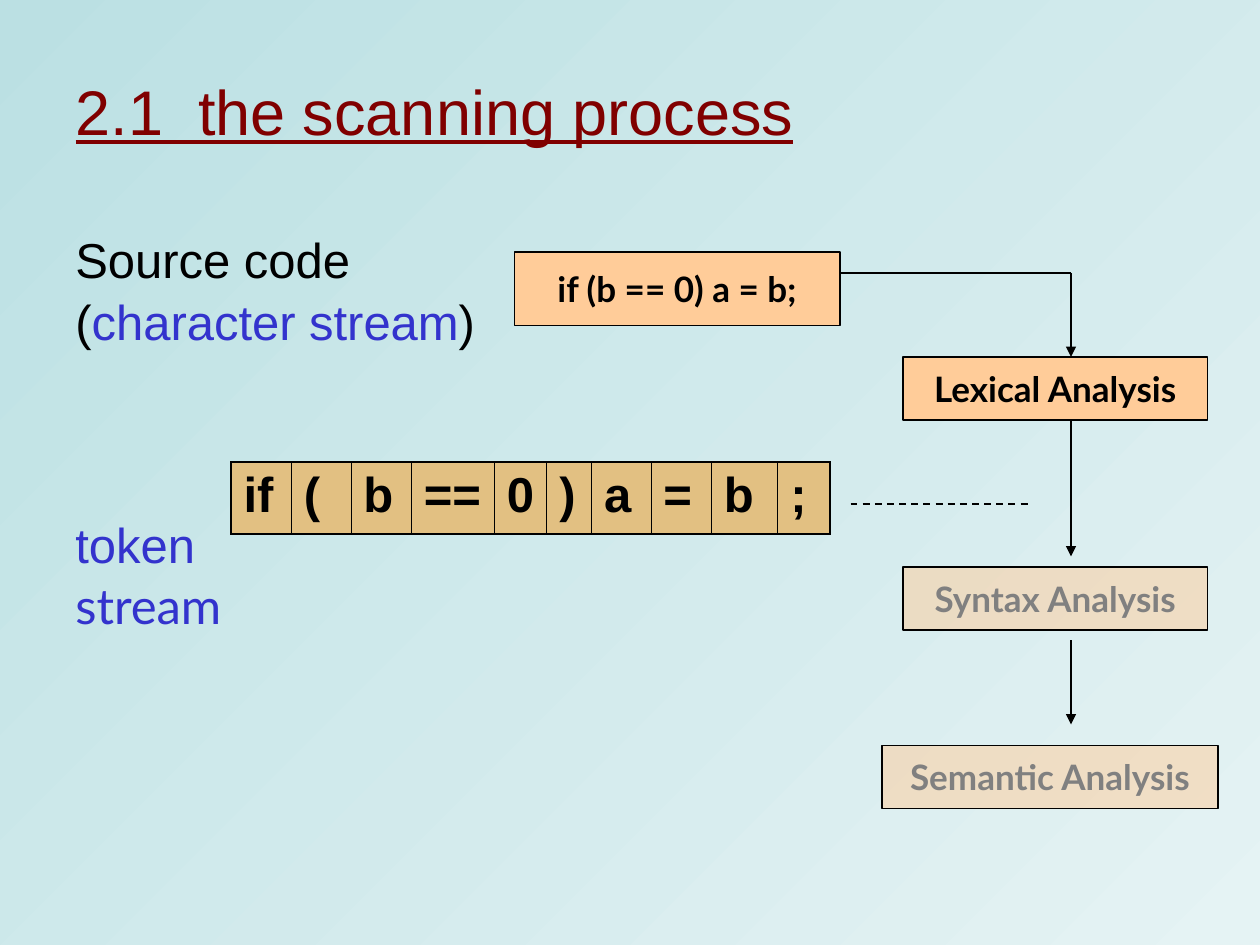
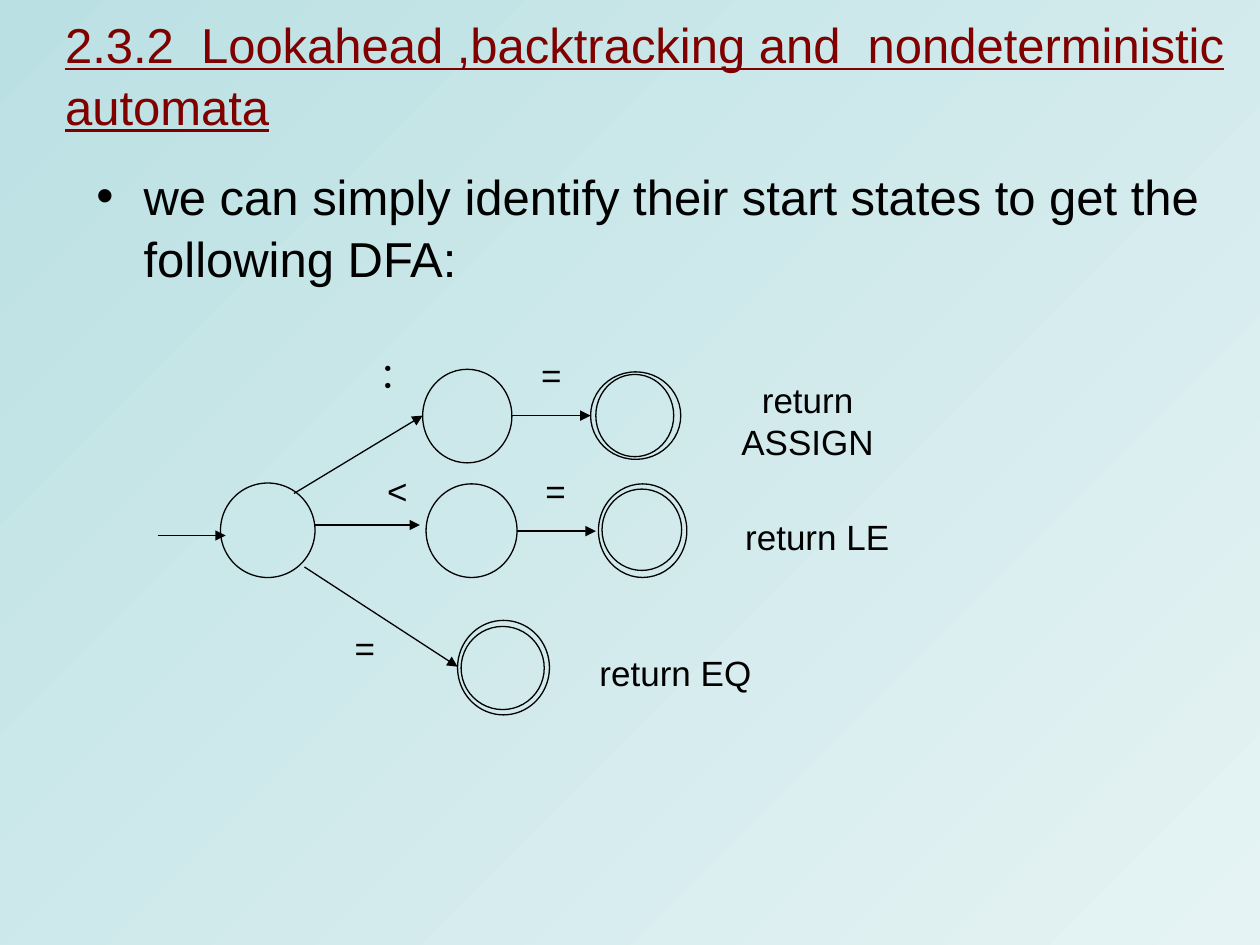
"""Build two slides on scanning: the lexical analysis pipeline and a combined DFA."""
import dataclasses

import pptx
import pptx.dml.color
import pptx.enum.dml
import pptx.enum.shapes
import pptx.enum.text
import pptx.oxml
import pptx.oxml.ns
import pptx.util

Pt = pptx.util.Pt
ALIGN = pptx.enum.text.PP_ALIGN
ANCHOR = pptx.enum.text.MSO_ANCHOR
SHAPE = pptx.enum.shapes.MSO_SHAPE
NSDECL = pptx.oxml.ns.nsdecls("a")


@dataclasses.dataclass(frozen=True)
class Theme:
    ink: str = "000000"
    title: str = "800000"
    accent: str = "3333CD"
    muted: str = "808080"
    stage: str = "FFCC99"
    token: str = "E2C082"
    back: tuple = ("BBE0E3", "E5F3F4")
    font: str = "Arial"
    alt_font: str = "Lato"
    title_size: int = 36
    body_size: int = 28
    label_size: int = 20
    body_spacing: float = 1.05
    line: float = 0.75
    cell_outer: float = 1.08
    cell_inner: float = 0.45


def rgb(color):
    return pptx.dml.color.RGBColor.from_string(color)


def xml(text):
    return pptx.oxml.parse_xml(text)


def write(p, text, size, color, font, bold=False, underline=False, align=ALIGN.LEFT, spacing=1.0, before=0):
    p.alignment, p.line_spacing, p.space_before = align, spacing, Pt(before)
    r = p.add_run()
    r.text = text
    f = r.font
    f.size, f.name, f.bold, f.underline = Pt(size), font, bold, underline
    f.color.rgb = rgb(color)


class Deck:
    def __init__(self, theme):
        self.t = theme
        self.prs = pptx.Presentation()
        self.prs.slide_width, self.prs.slide_height = Pt(720), Pt(540)
        fill = self.prs.slide_master.background.fill
        fill.gradient()
        fill.gradient_angle = 315
        for stop, color in zip(fill.gradient_stops, theme.back):
            stop.color.rgb = rgb(color)
        self.s = None

    def slide(self, title, box, size):
        self.s = self.prs.slides.add_slide(self.prs.slide_layouts[5])
        sp = self.s.shapes.title
        sp.left, sp.top, sp.width, sp.height = map(Pt, box)
        tf = sp.text_frame
        tf.auto_size = pptx.enum.text.MSO_AUTO_SIZE.NONE
        tf.vertical_anchor = ANCHOR.MIDDLE
        write(tf.paragraphs[0], title, size, self.t.title, self.t.font, underline=True,
              spacing=self.t.body_spacing)

    def body(self, box, paragraphs, bullet=False):
        tf = self.s.shapes.add_textbox(*map(Pt, box)).text_frame
        tf.word_wrap = True
        for i, (before, runs) in enumerate(paragraphs):
            p = tf.add_paragraph() if i else tf.paragraphs[0]
            if bullet:
                pPr = p._p.get_or_add_pPr()
                pPr.set("marL", str(Pt(27)))
                pPr.set("indent", str(-Pt(27)))
                pPr.append(xml(f'<a:buFont {NSDECL} typeface="{self.t.font}"/>'))
                pPr.append(xml(f'<a:buChar {NSDECL} char="•"/>'))
            for text, color, font in runs:
                write(p, text, self.t.body_size, color, font,
                      spacing=self.t.body_spacing, before=before)

    def label(self, box, text):
        sp = self.s.shapes.add_textbox(*map(Pt, box))
        self.center(sp.text_frame, text, self.t.ink, self.t.font)

    def center(self, tf, text, color, font, bold=False):
        tf.word_wrap = False
        tf.vertical_anchor = ANCHOR.MIDDLE
        write(tf.paragraphs[0], text, self.t.label_size, color, font, bold, align=ALIGN.CENTER)

    def shape(self, kind, box):
        sp = self.s.shapes.add_shape(kind, *map(Pt, box))
        sp.shadow.inherit = False
        sp.line.color.rgb = rgb(self.t.ink)
        sp.line.width = Pt(self.t.line)
        return sp

    def stage(self, box, text, active=True):
        sp = self.shape(SHAPE.RECTANGLE, box)
        sp.fill.solid()
        sp.fill.fore_color.rgb = rgb(self.t.stage)
        if not active:
            clr = sp._element.spPr.find(".//" + pptx.oxml.ns.qn("a:srgbClr"))
            clr.append(xml(f'<a:alpha {NSDECL} val="50000"/>'))
        self.center(sp.text_frame, text, self.t.ink if active else self.t.muted, self.t.alt_font, True)

    def state(self, *boxes):
        for box in boxes:
            self.shape(SHAPE.OVAL, box).fill.background()

    def line(self, ends, arrow=True, dashed=False, width=None):
        straight = pptx.enum.shapes.MSO_CONNECTOR.STRAIGHT
        c = self.s.shapes.add_connector(straight, *map(Pt, ends))
        c.line.color.rgb = rgb(self.t.ink)
        c.line.width = Pt(width or self.t.line)
        if dashed:
            c.line.dash_style = pptx.enum.dml.MSO_LINE.DASH
        if arrow:
            c.line._get_or_add_ln().append(xml(f'<a:tailEnd {NSDECL} type="triangle"/>'))
        c._element.spPr.append(xml(f"<a:effectLst {NSDECL}/>"))

    def token_row(self, left, top, height, tokens):
        frame = self.s.shapes.add_table(1, len(tokens), Pt(left), Pt(top),
                                        Pt(sum(w for _, w in tokens)), Pt(height))
        table = frame.table
        table.first_row = table.horz_banding = False
        table.rows[0].height = Pt(height)
        outer, inner = self.t.cell_outer, self.t.cell_inner
        last = len(tokens) - 1
        for i, (text, width) in enumerate(tokens):
            table.columns[i].width = Pt(width)
            cell = table.cell(0, i)
            borders = {"L": inner if i else outer, "R": inner if i < last else outer,
                       "T": outer, "B": outer}
            for side, weight in borders.items():
                cell._tc.get_or_add_tcPr().append(xml(
                    f'<a:ln{side} {NSDECL} w="{Pt(weight)}"><a:solidFill>'
                    f'<a:srgbClr val="{self.t.ink}"/></a:solidFill></a:ln{side}>'))
            cell.fill.solid()
            cell.fill.fore_color.rgb = rgb(self.t.token)
            write(cell.text_frame.paragraphs[0], text, self.t.body_size, self.t.ink, self.t.font, True)


def scanning_process(d):
    t = d.t
    d.slide("2.1  the scanning process", (36, 12, 672, 99.5), t.title_size)
    d.body((36, 126, 648, 356), [
        (0, [("Source code", t.ink, t.font)]),
        (0, [("(", t.ink, t.font), ("character stream", t.accent, t.font), (")", t.ink, t.font)]),
        (92, [("token", t.accent, t.font)]),
        (0, [("stream", t.accent, t.alt_font)]),
    ])
    d.stage((294, 144, 186, 42), "if (b == 0) a = b;")
    d.stage((516, 204, 174, 36), "Lexical Analysis")
    d.stage((516, 324, 174, 36), "Syntax Analysis", active=False)
    d.stage((504, 426, 192, 36), "Semantic Analysis", active=False)
    flow = 612
    d.line((480, 156, flow, 156), arrow=False)
    for top, bottom in ((156, 204), (240, 318), (366, 414)):
        d.line((flow, top, flow, bottom))
    d.line((486, 288, 588, 288), arrow=False, dashed=True, width=1)
    d.token_row(132, 264, 41, [
        ("if", 34.5), ("(", 34), ("b", 34.5), ("==", 47.5), ("0", 30),
        (")", 25.5), ("a", 34), ("=", 34.5), ("b", 38), (";", 30)])


def lookahead_dfa(d):
    t = d.t
    d.slide("2.3.2  Lookahead ,backtracking and  nondeterministic automata",
            (30, 18, 690, 48), t.body_size)
    d.body((48, 90, 648, 90), [
        (0, [("we can simply identify their start states to get the following DFA:", t.ink, t.font)]),
    ], bullet=True)
    d.state((126, 276, 54, 54))
    d.state((241.5, 211, 51, 53.5))
    d.state((243.5, 276.5, 52, 53.5))
    d.state((337.5, 212.5, 51.5, 50), (340.5, 214, 44.5, 47))
    d.state((342, 276.5, 50.5, 53.5), (344, 279.5, 45.5, 46.5))
    d.state((261.5, 354.5, 52.5, 54), (263.5, 358, 47.5, 47.5))
    for ends in ((90, 306, 129, 306), (168, 282, 241.5, 237.5), (180, 300, 240, 300),
                 (174, 324, 261.5, 381), (292.5, 237.5, 337.5, 237.5), (295.5, 303.5, 340.5, 303.5)):
        d.line(ends)
    for left, top, text in ((209.5, 204, "："), (299, 204, "="), (211, 270, "<"),
                            (301.5, 270, "="), (192.5, 360, "=")):
        d.label((left, top, 32, 20), text)
    for left, top, text in ((400, 224, "return ASSIGN"), (405.5, 290, "return LE"),
                            (324.5, 367.5, "return EQ")):
        d.label((left, top, 123, 33), text)


def main():
    d = Deck(Theme())
    scanning_process(d)
    lookahead_dfa(d)
    d.prs.save("out.pptx")


if __name__ == "__main__":
    main()
